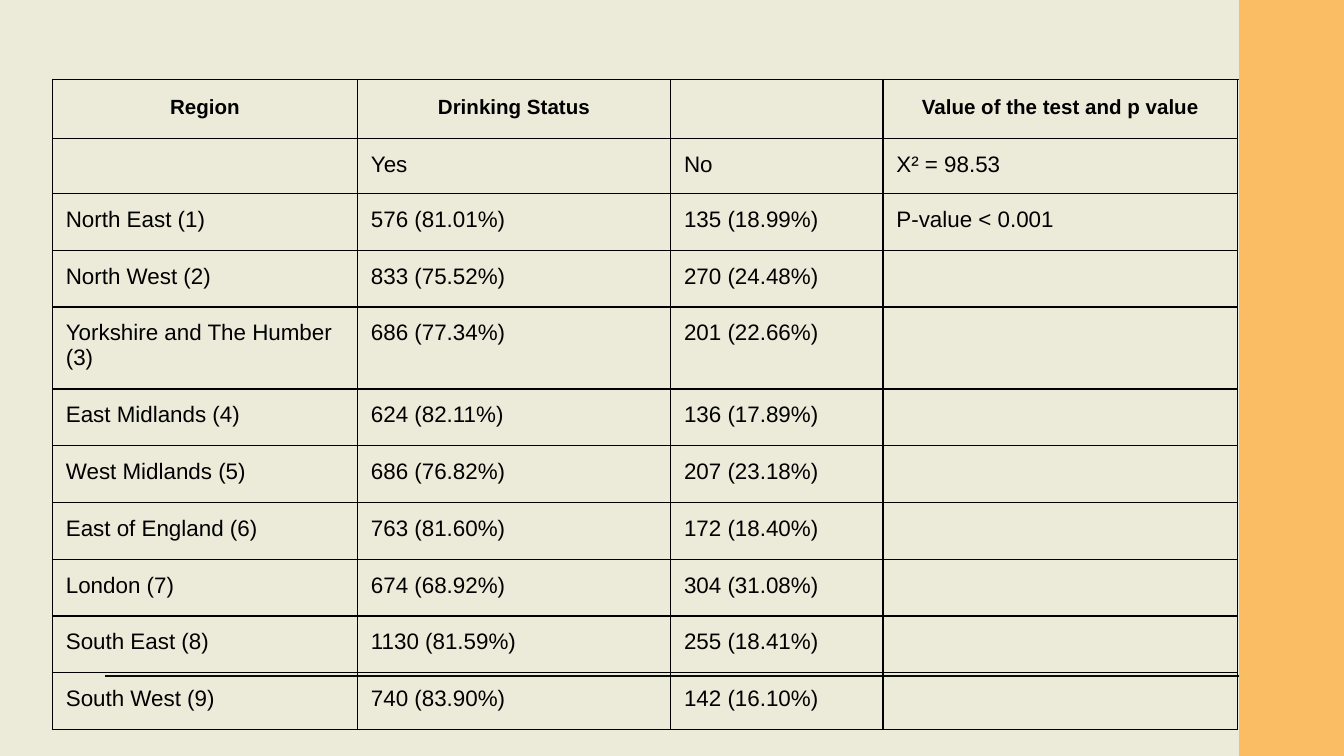
from lxml.etree import SubElement
from pptx import Presentation
from pptx.dml.color import RGBColor
from pptx.enum.shapes import MSO_CONNECTOR, MSO_SHAPE
from pptx.enum.text import PP_ALIGN
from pptx.oxml import parse_xml
from pptx.oxml.ns import nsdecls, qn
from pptx.util import Inches, Pt

CREAM = RGBColor(0xEC, 0xEB, 0xDA)
ORANGE = RGBColor(0xFA, 0xBD, 0x63)
INK = RGBColor(0x08, 0x10, 0x04)
BLACK = RGBColor(0, 0, 0)

SLIDE_WIDTH = 10
SLIDE_HEIGHT = SLIDE_WIDTH * 9 / 16
BAR_LEFT = 9.22

ROWS = [
    ["Region", "Drinking Status", "", "Value of the test and p value"],
    ["", "Yes", "No", "X² = 98.53"],
    ["North East (1)", "576 (81.01%)", "135 (18.99%)", "P-value < 0.001"],
    ["North West (2)", "833 (75.52%)", "270 (24.48%)", ""],
    ["Yorkshire and The Humber (3)", "686 (77.34%)", "201 (22.66%)", ""],
    ["East Midlands (4)", "624 (82.11%)", "136 (17.89%)", ""],
    ["West Midlands (5)", "686 (76.82%)", "207 (23.18%)", ""],
    ["East of England (6)", "763 (81.60%)", "172 (18.40%)", ""],
    ["London (7)", "674 (68.92%)", "304 (31.08%)", ""],
    ["South East (8)", "1130 (81.59%)", "255 (18.41%)", ""],
    ["South West (9)", "740 (83.90%)", "142 (16.10%)", ""],
]
COLUMN_WIDTHS = [2.27, 2.33, 1.58, 2.64]
TABLE_HEIGHT = 4.84
SPECIAL_HEIGHTS = {0: 0.44, 1: 0.41, 4: 0.61}


def row_heights():
    """Share the height left by the special rows equally among the others."""
    rest = TABLE_HEIGHT - sum(SPECIAL_HEIGHTS.values())
    regular = rest / (len(ROWS) - len(SPECIAL_HEIGHTS))
    return [SPECIAL_HEIGHTS.get(i, regular) for i in range(len(ROWS))]


def write_text(tf, text, size=12, bold=False, align=PP_ALIGN.LEFT, spacing=None):
    p = tf.paragraphs[0]
    p.alignment = align
    p.line_spacing = spacing
    r = p.add_run()
    r.text = text
    r.font.name = "Arial"
    r.font.size = Pt(size)
    r.font.bold = bold
    r.font.color.rgb = BLACK


def add_borders(cell, color, width):
    tcPr = cell._tc.get_or_add_tcPr()
    for i, side in enumerate(["lnL", "lnR", "lnT", "lnB"]):
        tcPr.insert(i, parse_xml(
            f'<a:{side} {nsdecls("a")} w="{Pt(width)}"><a:solidFill>'
            f'<a:srgbClr val="{color}"/></a:solidFill></a:{side}>'))


class SlideBuilder:
    line_width = 0.75
    cell_margin = Inches(0.1)

    def __init__(self, slide):
        self.slide = slide

    def background(self, color):
        fill = self.slide.background.fill
        fill.solid()
        fill.fore_color.rgb = color

    def bar(self, x, y, w, h, color):
        sp = self.slide.shapes.add_shape(
            MSO_SHAPE.RECTANGLE, Inches(x), Inches(y), Inches(w), Inches(h))
        sp.shadow.inherit = False
        sp.fill.solid()
        sp.fill.fore_color.rgb = color
        sp.line.fill.background()

    def rule(self, x1, x2, y):
        line = self.slide.shapes.add_connector(
            MSO_CONNECTOR.STRAIGHT, Inches(x1), Inches(y), Inches(x2), Inches(y))
        line.line.color.rgb = INK
        line.line.width = Pt(self.line_width)
        SubElement(line._element.spPr, qn("a:effectLst"))

    def table(self, x, y, rows, widths, heights):
        table = self.slide.shapes.add_table(
            len(rows), len(widths), Inches(x), Inches(y),
            Inches(sum(widths)), Inches(sum(heights))).table
        table.first_row = table.horz_banding = False
        for column, width in zip(table.columns, widths):
            column.width = Inches(width)
        for i, (row, height) in enumerate(zip(table.rows, heights)):
            row.height = Inches(height)
            for cell, text in zip(row.cells, rows[i]):
                self.cell(cell, text, header=i == 0)

    def cell(self, cell, text, header):
        cell.fill.background()
        add_borders(cell, BLACK, self.line_width)
        if not text:
            return
        cell.margin_left = cell.margin_right = self.cell_margin
        cell.margin_top = cell.margin_bottom = self.cell_margin
        if header:
            write_text(cell.text_frame, text, size=11, bold=True,
                       align=PP_ALIGN.CENTER, spacing=1.15)
        else:
            write_text(cell.text_frame, text)


def main():
    prs = Presentation()
    prs.slide_width, prs.slide_height = Inches(SLIDE_WIDTH), Inches(SLIDE_HEIGHT)
    s = SlideBuilder(prs.slides.add_slide(prs.slide_layouts[6]))
    s.background(CREAM)
    s.bar(BAR_LEFT, 0, SLIDE_WIDTH - BAR_LEFT, SLIDE_HEIGHT, ORANGE)
    for y in (5.03, 0.59):
        s.rule(0.78, BAR_LEFT, y)
    s.table(0.39, 0.59, ROWS, COLUMN_WIDTHS, row_heights())
    prs.save("out.pptx")


if __name__ == "__main__":
    main()
